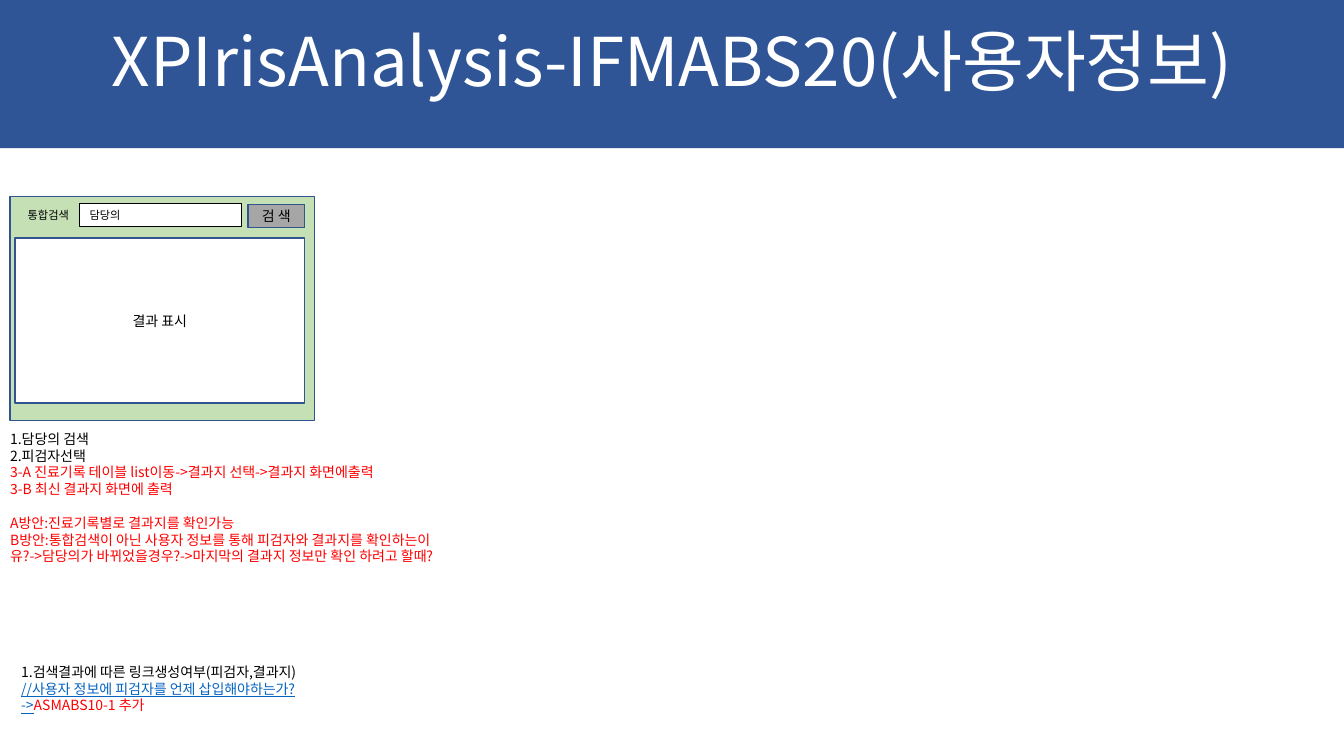
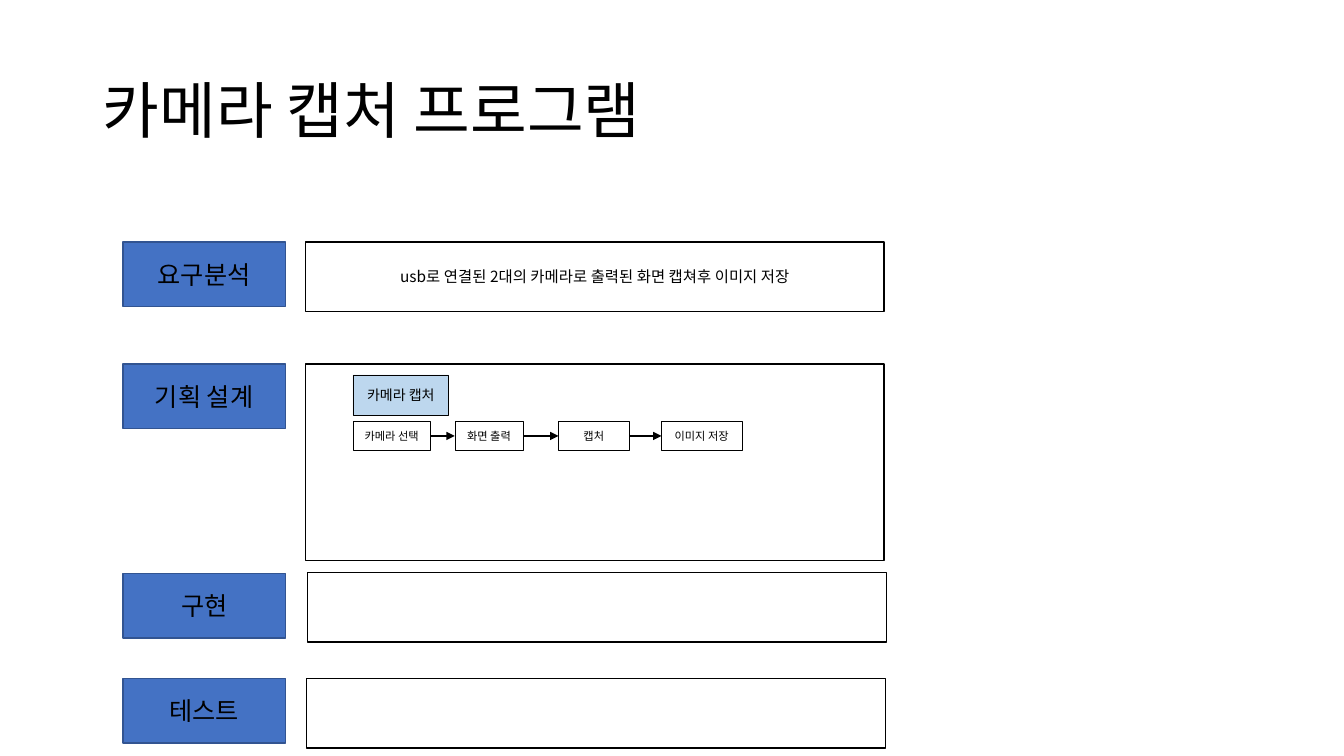
from dataclasses import dataclass
from itertools import pairwise

from pptx import Presentation
from pptx.dml.color import RGBColor
from pptx.enum.shapes import MSO_CONNECTOR, MSO_SHAPE
from pptx.enum.text import MSO_ANCHOR as Anchor, MSO_AUTO_SIZE as AutoSize, PP_ALIGN as Align
from pptx.oxml.ns import qn
from pptx.util import Inches, Pt
from lxml.etree import SubElement


@dataclass(frozen=True)
class Theme:
    font: str = "Noto Sans CJK KR"
    black: str = "000000"
    white: str = "FFFFFF"
    red: str = "FF0000"
    link: str = "0563C1"
    band: str = "2F5597"
    outline: str = "325491"
    window: str = "C5E0B4"
    button: str = "A6A6A6"
    section: str = "4472C4"
    feature: str = "BDD7EE"
    banner_size: int = 48
    title_size: int = 44
    section_size: int = 18
    panel_size: int = 11
    text_size: int = 10
    small_size: int = 8


THEME = Theme()
LEFT, RIGHT = 1, 3  # connection sites of a rectangle


def colour(value):
    return RGBColor.from_string(value)


def apply_format(target, values):
    for name, value in values.items():
        setattr(target, name, value)


def place(box, area):
    names = ("left", "top", "width", "height")
    apply_format(box, dict(zip(names, map(Inches, area))))


# Text
def add_span(para, text, size, text_colour, underline=False):
    span = para.add_run()
    span.text = text
    apply_format(span.font, {"name": THEME.font, "size": Pt(size), "underline": underline})
    span.font.color.rgb = colour(text_colour)
    SubElement(span._r.get_or_add_rPr(), qn("a:ea"), typeface=THEME.font)


def format_frame(frame, anchor, inset=None):
    values = {"word_wrap": True, "auto_size": AutoSize.NONE, "vertical_anchor": anchor}
    if inset is not None:
        sides = ("left", "top", "right", "bottom")
        values.update({f"margin_{side}": Inches(inset) for side in sides})
    apply_format(frame, values)


def write_line(box, text, size, align=Align.CENTER, text_colour=THEME.black, inset=None):
    format_frame(box.text_frame, Anchor.MIDDLE, inset)
    para = box.text_frame.paragraphs[0]
    para.alignment = align
    add_span(para, text, size, text_colour)
    return para


def write_title(page, area, text, size, **style):
    place(page.shapes.title, area)
    para = write_line(page.shapes.title, text, size, **style)
    para.line_spacing = 0.9
    return para


def write_notes(box, area, lines):
    """Fill a body placeholder; each line is a list of (text, colour, underline)."""
    place(box, area)
    frame = box.text_frame
    format_frame(frame, Anchor.TOP, inset=0)
    for number, spans in enumerate(lines):
        para = frame.add_paragraph() if number else frame.paragraphs[0]
        properties = para._p.get_or_add_pPr()
        apply_format(para, {"alignment": Align.LEFT, "line_spacing": Pt(12),
                            "space_before": Pt(0), "space_after": Pt(0)})
        properties.set("marL", "0")
        properties.set("indent", "0")
        SubElement(properties, qn("a:buNone"))
        for span in spans:
            add_span(para, span[0], THEME.text_size, *span[1:])
    return frame.paragraphs


# Shapes
def add_box(page, area, fill=None, line=None, weight=1):
    box = page.shapes.add_shape(MSO_SHAPE.RECTANGLE, *map(Inches, area))
    box.shadow.inherit = False
    if fill:
        box.fill.solid()
        box.fill.fore_color.rgb = colour(fill)
    else:
        box.fill.background()
    if line:
        box.line.color.rgb = colour(line)
        box.line.width = Pt(weight)
    else:
        box.line.fill.background()
    return box


def add_arrow(page, start, end):
    arrow = page.shapes.add_connector(MSO_CONNECTOR.STRAIGHT, 0, 0, 0, 0)
    arrow.begin_connect(start, RIGHT)
    arrow.end_connect(end, LEFT)
    arrow.line.color.rgb = colour(THEME.black)
    arrow.line.width = Pt(1)
    SubElement(arrow.line._get_or_add_ln(), qn("a:tailEnd"), type="triangle")
    SubElement(arrow._element.spPr, qn("a:effectLst"))


# Slides
def build_search_page(deck):
    page = deck.slides.add_slide(deck.slide_layouts[3])

    # Title band
    band = add_box(page, (0, 0, 13.33, 1.47), THEME.band)
    page.shapes.title.element.addprevious(band.element)
    title = write_title(page, (0, 0.23, 13.33, 0.83), "XPIrisAnalysis-IFMABS20(사용자정보)",
                        THEME.banner_size, text_colour=THEME.white)
    title.space_before = Pt(10)

    # Search window
    add_box(page, (0.1, 1.95, 3.02, 2.22), THEME.window, THEME.outline)
    results = add_box(page, (0.15, 2.36, 2.87, 1.64), THEME.white, THEME.outline)
    write_line(results, "결과 표시", THEME.text_size)
    field = add_box(page, (0.79, 2.02, 1.6, 0.23), THEME.white, THEME.black, 0.5)
    write_line(field, "담당의", THEME.small_size, Align.LEFT)
    button = add_box(page, (2.46, 2.03, 0.56, 0.23), THEME.button, THEME.outline)
    write_line(button, "검 색", THEME.text_size)
    label = page.shapes.add_textbox(*map(Inches, (0.15, 2.02, 0.66, 0.23)))
    write_line(label, "통합검색", THEME.small_size)

    # Notes
    steps = ["1.담당의 검색", "2.피검자선택"]
    options = [
        "3-A 진료기록 테이블 list이동->결과지 선택->결과지 화면에출력",
        "3-B 최신 결과지 화면에 출력",
        "A방안:진료기록별로 결과지를 확인가능",
        "B방안:통합검색이 아닌 사용자 정보를 통해 피검자와 결과지를 확인하는이유?"
        "->담당의가 바뀌었을경우?->마지막의 결과지 정보만 확인 하려고 할때?",
    ]
    lines = [[(text, THEME.black)] for text in steps]
    lines += [[(text, THEME.red)] for text in options]
    paras = write_notes(page.placeholders[1], (0.1, 4.27, 4.39, 1.78), lines)
    paras[4].space_before = Pt(12)
    write_notes(page.placeholders[2], (0.21, 6.58, 5.56, 0.74), [
        [("1.검색결과에 따른 링크생성여부(피검자,결과지)", THEME.black)],
        [("//사용자 정보에 피검자를 언제 삽입해야하는가?", THEME.link, True)],
        [("->", THEME.link, True), ("ASMABS10-1 추가", THEME.red)],
    ])


def build_capture_page(deck):
    page = deck.slides.add_slide(deck.slide_layouts[5])
    write_title(page, (0.92, 0.4, 11.5, 1.45), "카메라 캡처 프로그램",
                THEME.title_size, align=Align.LEFT)

    # Sections: label, top, panel left, panel top, panel height, panel text
    sections = [
        ("요구분석", 2.4, 3.03, 2.4, 0.69, "usb로 연결된 2대의 카메라로 출력된 화면 캡쳐후 이미지 저장"),
        ("기획 설계", 3.61, 3.03, 3.61, 1.95, ""),
        ("구현", 5.69, 3.05, 5.68, 0.69, ""),
        ("테스트", 6.73, 3.04, 6.73, 0.69, ""),
    ]
    for label, top, panel_left, panel_top, height, text in sections:
        section = add_box(page, (1.22, top, 1.61, 0.64), THEME.section, THEME.outline)
        write_line(section, label, THEME.section_size)
        panel = add_box(page, (panel_left, panel_top, 5.74, height), THEME.white, THEME.black)
        if text:
            write_line(panel, text, THEME.panel_size)

    # Capture flow
    feature = add_box(page, (3.5, 3.72, 0.95, 0.4), THEME.feature, THEME.black, 0.25)
    write_line(feature, "카메라 캡처", THEME.text_size, inset=0.04)
    flow = [("카메라 선택", 3.5, 0.77), ("화면 출력", 4.51, 0.68),
            ("캡처", 5.54, 0.7), ("이미지 저장", 6.56, 0.8)]
    boxes = []
    for text, left, width in flow:
        box = add_box(page, (left, 4.18, width, 0.29), line=THEME.black, weight=0.25)
        write_line(box, text, THEME.small_size, inset=0.04)
        boxes.append(box)
    for start, end in pairwise(boxes):
        add_arrow(page, start, end)


def main():
    deck = Presentation()
    deck.slide_width, deck.slide_height = Inches(13.33), Inches(7.5)
    build_search_page(deck)
    build_capture_page(deck)
    deck.save("out.pptx")


if __name__ == "__main__":
    main()
